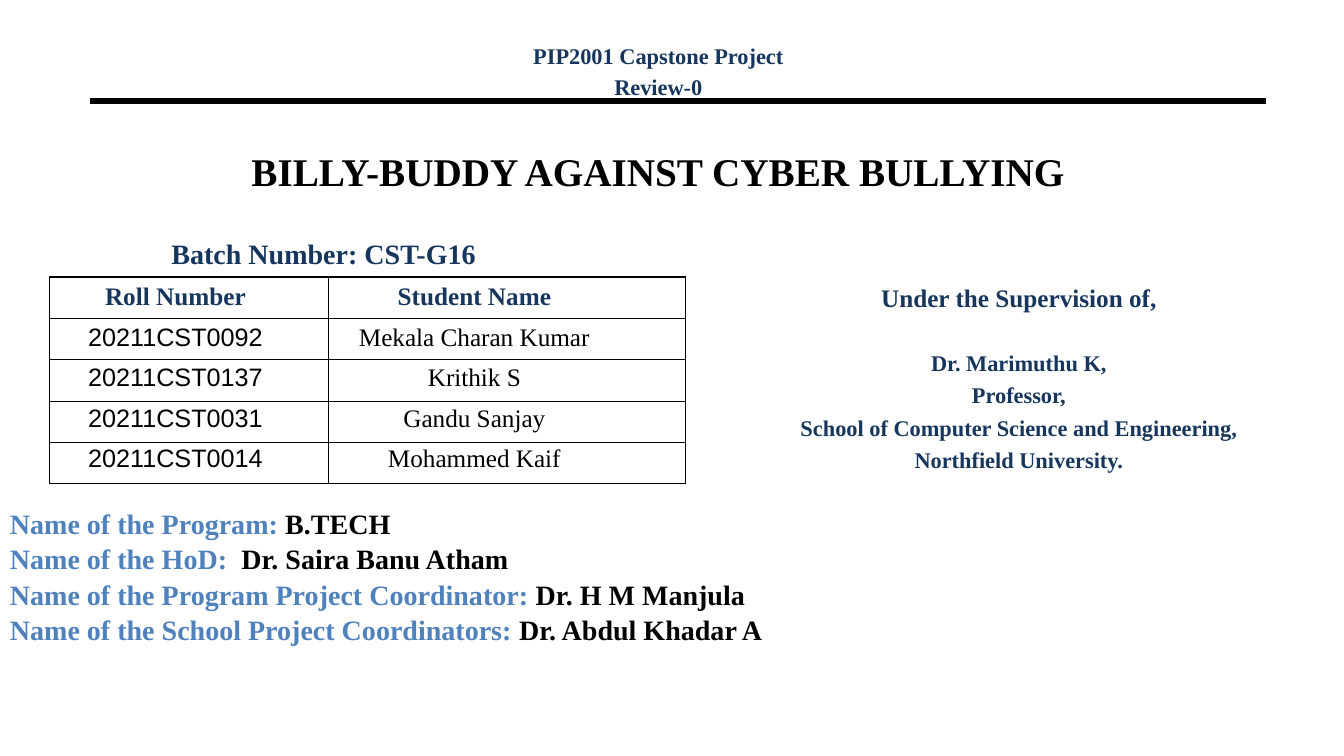
from lxml import etree
from pptx import Presentation
from pptx import util as u
from pptx.dml.color import RGBColor
from pptx.enum import shapes, text
from pptx.oxml import ns

NAVY, BLUE, BLACK = "17365D", "4F81BD", "000000"
SERIF, SANS = "Times New Roman", "Arial"
CENTER, LEFT = text.PP_ALIGN.CENTER, text.PP_ALIGN.LEFT


def color(value):
    return RGBColor.from_string(value)


class CoverSlide:
    """Draws the styled elements of the project cover on one slide."""

    def __init__(self, presentation):
        self.slide = presentation.slides.add_slide(presentation.slide_layouts[6])

    def run(self, paragraph, words, size, ink=NAVY, bold=True, font=SERIF):
        run = paragraph.add_run()
        run.text = words
        run.font.size = u.Pt(size)
        run.font.name = font
        run.font.bold = bold
        run.font.color.rgb = color(ink)

    def rule(self, left, right, top, width):
        line = self.slide.shapes.add_connector(
            shapes.MSO_CONNECTOR.STRAIGHT,
            u.Inches(left), u.Inches(top), u.Inches(right), u.Inches(top))
        line.line.color.rgb = color(BLACK)
        line.line.width = u.Pt(width)
        etree.SubElement(line._element.spPr, ns.qn("a:effectLst"))

    def textbox(self, box, lines, align=CENTER, spacing=None, indent=0.1,
                anchor=text.MSO_ANCHOR.TOP):
        shape = self.slide.shapes.add_textbox(*map(u.Inches, box))
        frame = shape.text_frame
        frame.word_wrap = True
        frame.vertical_anchor = anchor
        frame.margin_left = u.Inches(indent)
        for index, (before, runs) in enumerate(lines):
            paragraph = frame.paragraphs[0] if index == 0 else frame.add_paragraph()
            paragraph.alignment = align
            paragraph.space_before = u.Pt(before)
            if spacing:
                paragraph.line_spacing = spacing
            for run in runs:
                self.run(paragraph, *run)

    def border(self, cell, side, width):
        properties = cell._tc.get_or_add_tcPr()
        line = etree.SubElement(properties, ns.qn(f"a:ln{side}"), w=str(u.Pt(width)))
        if width:
            fill = etree.SubElement(line, ns.qn("a:solidFill"))
            etree.SubElement(fill, ns.qn("a:srgbClr"), val=BLACK)
        else:
            etree.SubElement(line, ns.qn("a:noFill"))

    def table(self, left, top, widths, row_height, row_count, line_width):
        table = self.slide.shapes.add_table(
            row_count, len(widths), u.Inches(left), u.Inches(top),
            u.Inches(sum(widths)), u.Inches(row_height * row_count)).table
        table.first_row = table.horz_banding = False
        for column, width in zip(table.columns, widths):
            column.width = u.Inches(width)
        for index, row in enumerate(table.rows):
            row.height = u.Inches(row_height)
            for cell in row.cells:
                cell.vertical_anchor = text.MSO_ANCHOR.MIDDLE
                for side in "LRTB":
                    heavy = (index, side) in {(0, "T"), (0, "B"), (1, "T")}
                    self.border(cell, side, line_width * (1.5 if heavy else 1))
                cell.fill.background()
        return table

    def student_list(self, table, students):
        for row, values in enumerate(students):
            for column, value in enumerate(values):
                paragraph = table.cell(row, column).text_frame.paragraphs[0]
                paragraph.alignment = CENTER
                header = row == 0
                font = SANS if column == 0 and not header else SERIF
                self.run(paragraph, value, 18, NAVY if header else BLACK, header, font)


def main():
    presentation = Presentation()
    presentation.slide_width = u.Inches(13.33)
    presentation.slide_height = u.Inches(7.5)
    cover = CoverSlide(presentation)

    cover.rule(0.89, 12.56, 1, 4.5)
    supervisor = ["Professor,", "School of Computer Science and Engineering,",
                  "Northfield University."]
    cover.textbox((7.09, 2.75, 6.03, 2.21), [
        (0, [("Under the Supervision of,", 18)]),
        (26, [("Dr. Marimuthu K,", 16)]),
        *[(4, [(line, 16)]) for line in supervisor]])
    cover.textbox((0.86, 1.17, 11.33, 1.05),
                  [(0, [("BILLY-BUDDY AGAINST CYBER BULLYING", 28, BLACK)])],
                  anchor=text.MSO_ANCHOR.MIDDLE)
    cover.textbox((0.86, 2.3, 4.34, 0.6), [(0, [("Batch Number: CST-G16", 20)])],
                  align=LEFT, indent=0.84)

    students = [("Roll Number", "Student Name"),
                ("20211CST0092", "Mekala Charan Kumar"),
                ("20211CST0137", "Krithik S"),
                ("20211CST0031", "Gandu Sanjay"),
                ("20211CST0014", "Mohammed Kaif")]
    cover.student_list(cover.table(0.6, 2.75, (2.28, 3.65), 0.33, 6, 0), students)

    cover.textbox((4.36, 0.37, 4.34, 0.6), [
        (0, [("PIP2001 Capstone Project", 16)]), (3.1, [("Review-0", 16)])])
    staff = [("Name of the Program: ", "B.TECH"),
             ("Name of the HoD:  ", "Dr. Saira Banu Atham"),
             ("Name of the Program Project Coordinator: ", "Dr. H M Manjula"),
             ("Name of the School Project Coordinators: ", "Dr. Abdul Khadar A")]
    cover.textbox((0, 4.96, 13.33, 1.71),
                  [(0, [(label, 20, BLUE), (name, 20, BLACK)]) for label, name in staff],
                  align=LEFT, spacing=1.05)
    cover.table(0.49, 2.75, (2.77, 3.54), 0.41, 5, 1)

    presentation.save("out.pptx")


if __name__ == "__main__":
    main()
